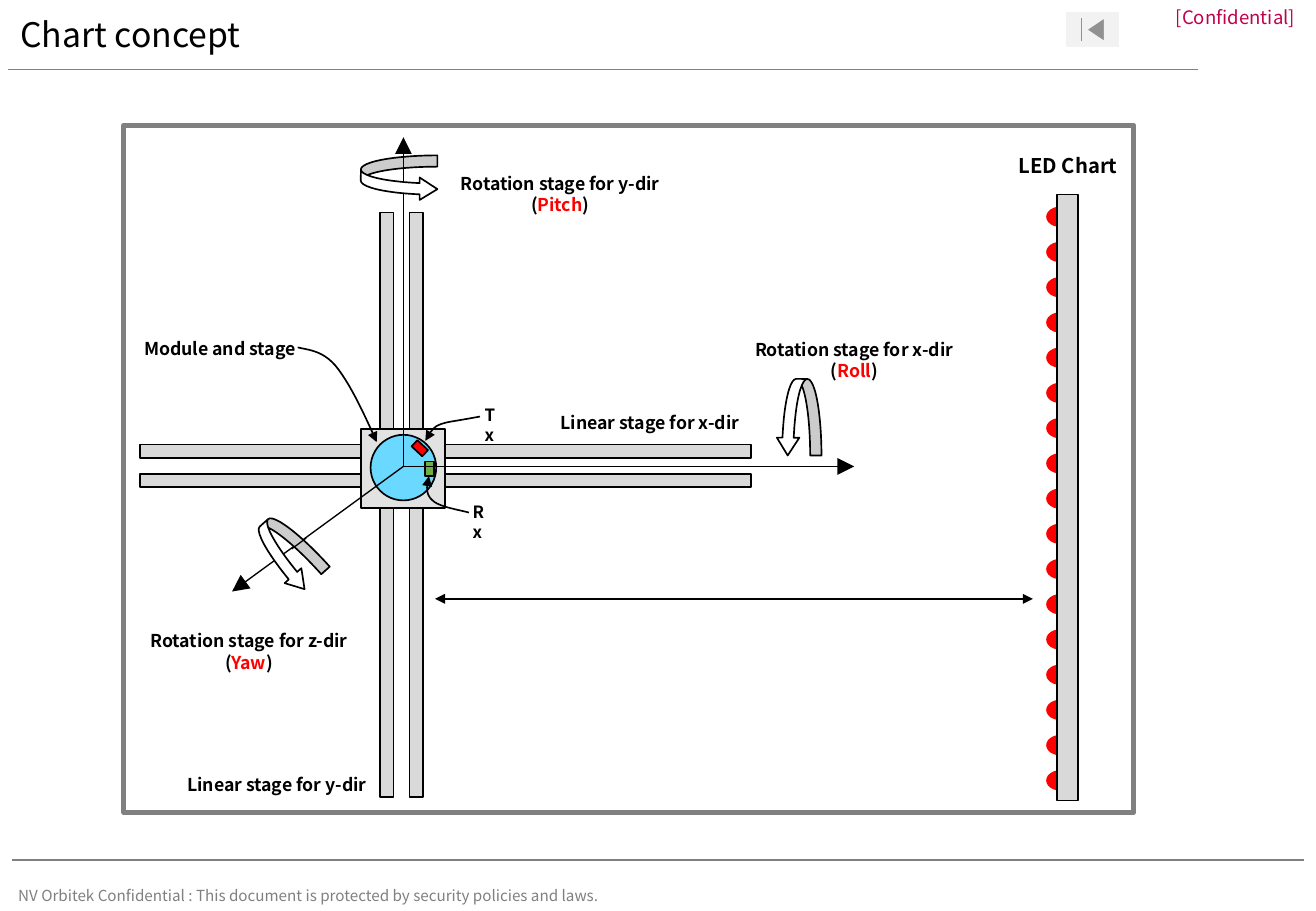
import pptx
import pptx.util
import pptx.dml.color
import pptx.enum.shapes
import pptx.enum.text
import pptx.oxml.ns
import lxml.etree

SHAPE = pptx.enum.shapes.MSO_SHAPE
ALIGN = pptx.enum.text.PP_ALIGN
ANCHOR = pptx.enum.text.MSO_ANCHOR
COLORS = {
    "black": "000000", "white": "FFFFFF", "gray": "808080", "button": "F2F2F2",
    "rail": "D9D9D9", "stage": "E2E2E2", "module": "6BD9FF", "red": "FF0000",
    "green": "70AD47", "crimson": "C0004B",
}
COLUMNS, ROWS = 108.3, 75


class Sheet:
    font = "Noto Sans CJK KR"

    def __init__(self, deck):
        self.slide = deck.slides.add_slide(deck.slide_layouts[6])
        self.column = deck.slide_width / COLUMNS
        self.row = deck.slide_height / ROWS

    def x(self, columns):
        return round(columns * self.column)

    def y(self, rows):
        return round(rows * self.row)

    def box(self, left, top, width, height):
        return self.x(left), self.y(top), self.x(width), self.y(height)

    def color(self, name):
        return pptx.dml.color.RGBColor.from_string(COLORS[name])

    def outline(self, item, color, points):
        if color is None:
            item.line.fill.background()
            return
        item.line.color.rgb = self.color(color)
        item.line.width = pptx.util.Pt(points)

    def arrowheads(self, item, ends, size):
        ln = item._element.spPr.find(pptx.oxml.ns.qn("a:ln"))
        for end in ends:
            lxml.etree.SubElement(ln, pptx.oxml.ns.qn(f"a:{end}"),
                                  type="triangle", w=size, len=size)

    def shape(self, kind, place, fill=None, line="black", points=1, turn=0, adjust=()):
        item = self.slide.shapes.add_shape(kind, *self.box(*place))
        item.shadow.inherit = False
        if fill:
            item.fill.solid()
            item.fill.fore_color.rgb = self.color(fill)
        else:
            item.fill.background()
        self.outline(item, line, points)
        item.rotation = turn
        for index, value in enumerate(adjust):
            item.adjustments[index] = value

    def line(self, start, end, color="black", points=0.8, ends=(), size="med"):
        item = self.slide.shapes.add_connector(
            pptx.enum.shapes.MSO_CONNECTOR.STRAIGHT,
            self.x(start[0]), self.y(start[1]), self.x(end[0]), self.y(end[1]))
        self.outline(item, color, points)
        self.arrowheads(item, ends, size)
        lxml.etree.SubElement(item._element.spPr, pptx.oxml.ns.qn("a:effectLst"))

    def pointer(self, knots, steps=12):
        trail = []
        for first in range(0, len(knots) - 1, 3):
            a, b, c, d = knots[first:first + 4]
            for step in range(1, steps + 1):
                t = step / steps
                weights = (1 - t) ** 3, 3 * t * (1 - t) ** 2, 3 * t * t * (1 - t), t ** 3
                px, py = (sum(w * p[axis] for w, p in zip(weights, (a, b, c, d)))
                          for axis in (0, 1))
                trail.append((self.x(px), self.y(py)))
        builder = self.slide.shapes.build_freeform(self.x(knots[0][0]), self.y(knots[0][1]))
        builder.add_line_segments(trail, close=False)
        item = builder.convert_to_shape()
        item.shadow.inherit = False
        item.fill.background()
        self.outline(item, "black", 1)
        self.arrowheads(item, ["headEnd"], "med")

    def text(self, place, paragraphs, size=10.5, color="black", bold=True,
             align=ALIGN.CENTER, anchor=ANCHOR.TOP, inset=True, spacing=None):
        frame = self.slide.shapes.add_textbox(*self.box(*place)).text_frame
        frame.word_wrap = True
        frame.vertical_anchor = anchor
        if not inset:
            frame.margin_left = frame.margin_right = 0
            frame.margin_top = frame.margin_bottom = 0
        for index, parts in enumerate(paragraphs):
            paragraph = frame.add_paragraph() if index else frame.paragraphs[0]
            paragraph.text = parts[0][0]
            for words, _ in parts[1:]:
                paragraph.add_run().text = words
            paragraph.alignment = align
            if spacing:
                paragraph.line_spacing = spacing
            for run, (_, tint) in zip(paragraph.runs, parts):
                run.font.name = self.font
                run.font.size = pptx.util.Pt(size)
                run.font.bold = bold
                run.font.color.rgb = self.color(tint or color)

    def label(self, place, words, **style):
        self.text(place, [[(words, None)]], **style)

    def rotation_label(self, left, top, axis, motion):
        self.text((left, top, 20.4, 4.7), [
            [(f"Rotation stage for {axis}-dir", None)],
            [("(", None), (motion, "red"), (")", None)]])

    def rotation_arrow(self, left, top, turn=0):
        self.shape(SHAPE.CURVED_RIGHT_ARROW, (left, top, 6.3, 3.7), "white",
                   turn=turn, adjust=(0.25, 0.5, 0.395))


def draw_page(sheet):
    sheet.label((1.5, 72.5, 52, 2.5),
                "NV Orbitek Confidential : This document is protected by security policies and laws.",
                size=9, color="gray", bold=False, align=ALIGN.LEFT,
                anchor=ANCHOR.MIDDLE, inset=False)
    sheet.label((91.6, 0, 15, 2.8), "[Confidential]", size=11, color="crimson",
                bold=False, align=ALIGN.RIGHT, anchor=ANCHOR.MIDDLE, inset=False)
    sheet.line((0.7, 5.7), (98.6, 5.7), "gray", 0.75)
    sheet.line((1, 70.8), (107.3, 70.8), "gray", 1.5)
    sheet.label((0.7, 0.7, 43.7, 4.7), "Chart concept", size=20, bold=False,
                align=ALIGN.LEFT, anchor=ANCHOR.MIDDLE, spacing=0.9)
    sheet.shape(SHAPE.ACTION_BUTTON_BEGINNING, (87.8, 1.1, 4.2, 2.7), "button", "button")
    sheet.shape(SHAPE.RECTANGLE, (10.2, 10.3, 83.1, 56.6), line="gray", points=3)


def draw_stages(sheet):
    for offset in (0, 2.4):
        sheet.shape(SHAPE.RECTANGLE, (31.3 + offset, 17.5, 1.1, 48.1), "rail")
        sheet.shape(SHAPE.RECTANGLE, (11.5, 36.6 + offset, 50.3, 1.1), "rail")
    for led in range(17):
        sheet.shape(SHAPE.OVAL, (86.1, 17 + 2.9 * led, 2.4, 1.7), "red", None)
    sheet.shape(SHAPE.RECTANGLE, (87, 16, 1.7, 49.9), "rail")
    sheet.line((35.8, 49.3), (85, 49.3), points=1.5, ends=("headEnd", "tailEnd"))
    sheet.shape(SHAPE.RECTANGLE, (29.7, 35.3, 6.9, 6.5), "stage")
    sheet.shape(SHAPE.OVAL, (30.5, 35.8, 5.4, 5.4), "module")
    sheet.shape(SHAPE.RECTANGLE, (34.2, 36.3, 0.7, 1.2), "red", turn=313)
    sheet.shape(SHAPE.RECTANGLE, (35, 38, 0.7, 1.2), "green")


def draw_axes(sheet):
    center = (33.2, 38.4)
    for tip in ((33.2, 11.3), (19.1, 48.7), (70.3, 38.4)):
        sheet.line(center, tip, ends=["tailEnd"], size="lg")
    sheet.rotation_arrow(20.5, 43.7, 48.1)
    sheet.line((24, 45.2), (25.2, 44.3))
    sheet.rotation_arrow(29.7, 12.8)
    sheet.line((33.2, 13.9), (33.2, 12.8))
    sheet.rotation_arrow(62.6, 32.5, 90)


def draw_labels(sheet):
    sheet.label((78.7, 12.1, 18.4, 3), "LED Chart", size=12)
    for left, top, words in ((44.3, 33.4, "Linear stage for x-dir"),
                             (13.6, 63.2, "Linear stage for y-dir"),
                             (8.9, 27.3, "Module and stage")):
        sheet.label((left, top, 18.4, 2.9), words)
    sheet.rotation_label(10.3, 51.4, "z", "Yaw")
    sheet.rotation_label(35.9, 13.7, "y", "Pitch")
    sheet.rotation_label(60.1, 27.4, "x", "Roll")
    for left, top, words in ((37.9, 40.8, "Rx"), (38.9, 32.8, "Tx")):
        sheet.label((left, top, 3.5, 2.8), words, size=10, align=ALIGN.LEFT)
    sheet.pointer([(31, 36.4), (29.9, 33.9), (28.7, 31.4), (27.6, 30.1),
                   (26.5, 28.8), (25.2, 28.8), (24.5, 28.6)])
    sheet.pointer([(35, 36.3), (35.2, 35.9), (35.5, 35.4), (35.9, 35.1),
                   (36.4, 34.8), (37.2, 34.7), (37.8, 34.6),
                   (38.4, 34.5), (39.5, 34.3), (39.5, 34.3)])
    sheet.pointer([(35.3, 39.2), (35.1, 40), (35, 40.7), (35.6, 41.2),
                   (36.1, 41.7), (37.4, 41.9), (38.6, 42.2)])


def main():
    deck = pptx.Presentation()
    deck.slide_width = pptx.util.Inches(10.83)
    deck.slide_height = pptx.util.Inches(7.5)
    sheet = Sheet(deck)
    draw_page(sheet)
    draw_stages(sheet)
    draw_axes(sheet)
    draw_labels(sheet)
    deck.save("out.pptx")


if __name__ == "__main__":
    main()
